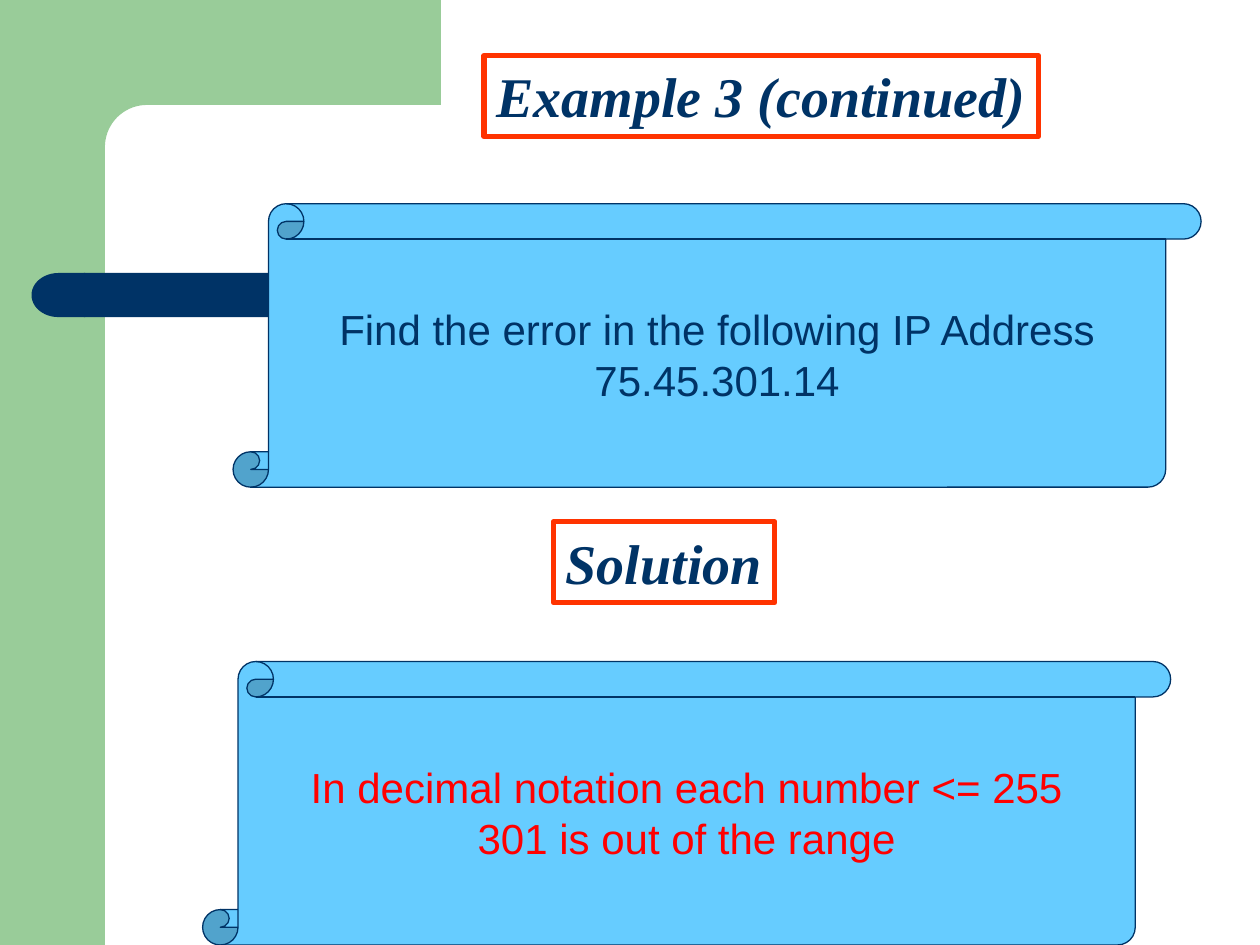
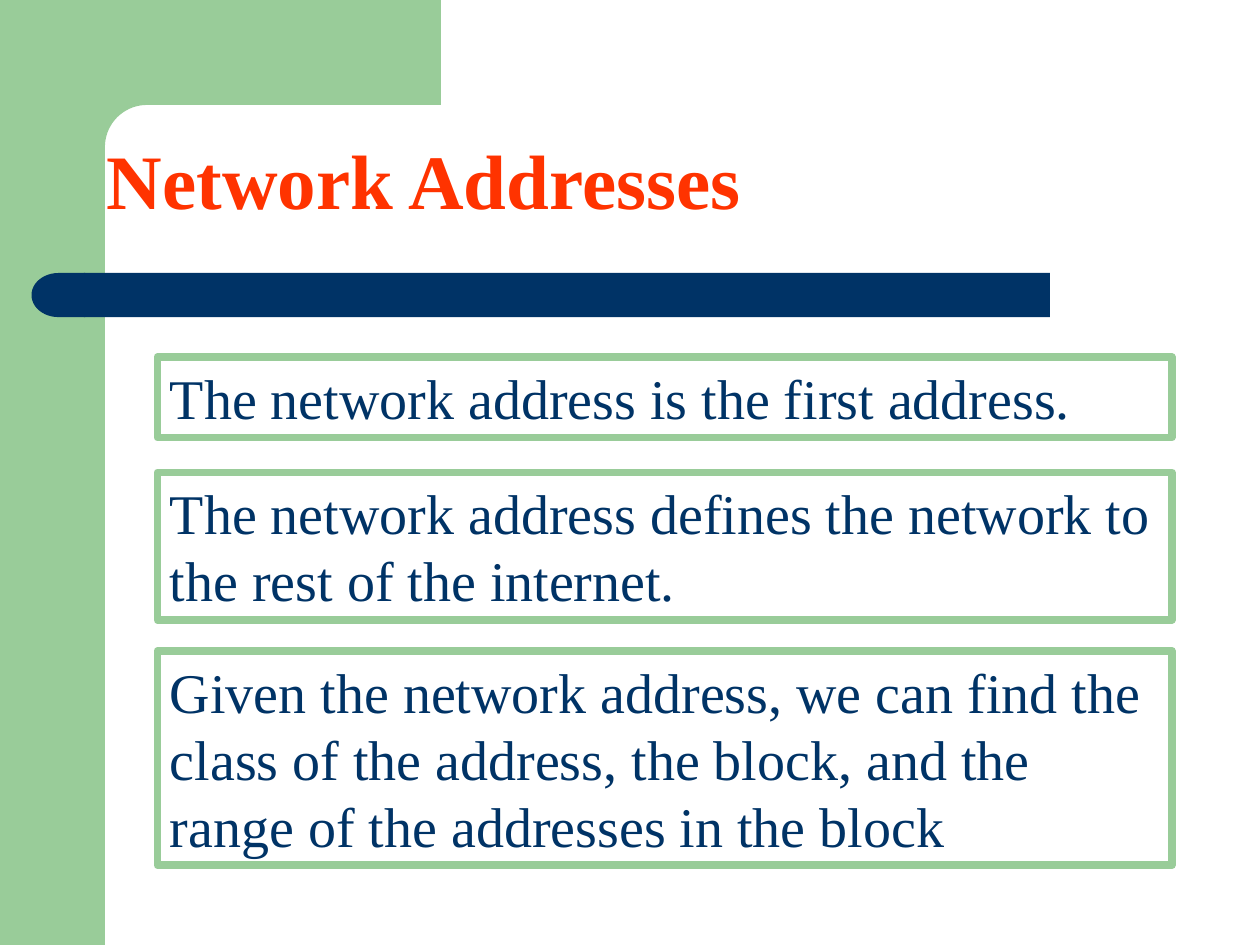
import dataclasses
import math
import typing

import pptx
import pptx.dml.color
import pptx.enum.shapes
import pptx.enum.text
import pptx.util

SHAPES = pptx.enum.shapes.MSO_SHAPE
ALIGN = pptx.enum.text.PP_ALIGN
ANCHOR = pptx.enum.text.MSO_ANCHOR
AUTO_SIZE = pptx.enum.text.MSO_AUTO_SIZE

COLORS = {
    "green": "99CC99",
    "navy": "003366",
    "orange": "FF3300",
    "sky": "66CCFF",
    "red": "FF0000",
    "white": "FFFFFF",
}
SERIF = "Times New Roman"
SANS = "Arial"

SLIDE_WIDTH = pptx.util.Inches(10)
SLIDE_HEIGHT = pptx.util.Inches(7.5)
COLUMNS = 120
ROWS = 90
SIDEBAR_COLUMNS = 10
CORNER_RADIUS = 4


@dataclasses.dataclass(frozen=True)
class Area:
    left: float
    top: float
    width: float
    height: float


@dataclasses.dataclass(frozen=True)
class Heading:
    text: str
    area: Area


@dataclasses.dataclass(frozen=True)
class Scroll:
    lines: tuple[str, ...]
    left: float
    top: float
    color: str


@dataclasses.dataclass(frozen=True)
class Statement:
    text: str
    top: float
    line_count: int


HEADINGS = [
    Heading("Example 3 (continued)", Area(46.1, 5.3, 52.8, 7.7)),
    Heading("Solution", Area(52.7, 49.7, 21.1, 7.7)),
]
SCROLLS = [
    Scroll(("Find the error in the following IP Address", "75.45.301.14"), 22.2, 19.4, "navy"),
    Scroll(("In decimal notation each number <= 255", "301 is out of the range"), 19.3, 63, "red"),
]
STATEMENTS = [
    Statement("The network address is the first address.", 34, 1),
    Statement("The network address defines the network to the rest of the internet.", 45, 2),
    Statement(
        "Given the network address, we can find the class of the address, "
        "the block, and the range of the addresses in the block", 62, 3),
]


def across(columns: float) -> int:
    return round(SLIDE_WIDTH * columns / COLUMNS)


def down(rows: float) -> int:
    return round(SLIDE_HEIGHT * rows / ROWS)


def place(area: Area) -> tuple[int, int, int, int]:
    return across(area.left), down(area.top), across(area.width), down(area.height)


def rgb(name: str) -> pptx.dml.color.RGBColor:
    return pptx.dml.color.RGBColor.from_string(COLORS[name])


def style_shape(shape, fill: typing.Optional[str] = None,
                line: typing.Optional[str] = None, line_width: float = 1) -> None:
    shape.shadow.inherit = False
    if fill:
        shape.fill.solid()
        shape.fill.fore_color.rgb = rgb(fill)
    else:
        shape.fill.background()
    if line:
        shape.line.color.rgb = rgb(line)
        shape.line.width = pptx.util.Pt(line_width)
    else:
        shape.line.fill.background()


def add_preset(slide, preset, area: Area, **style):
    shape = slide.shapes.add_shape(preset, *place(area))
    style_shape(shape, **style)
    return shape


def write_text(shape, *lines: str, size: float, font: str = SERIF, color: str = "navy",
               bold: bool = False, italic: bool = False, align=ALIGN.LEFT,
               anchor=ANCHOR.TOP, wrap: bool = True, auto_size=AUTO_SIZE.SHAPE_TO_FIT_TEXT) -> None:
    frame = shape.text_frame
    frame.word_wrap = wrap
    frame.auto_size = auto_size
    frame.vertical_anchor = anchor
    frame.text = "\n".join(lines)
    for paragraph in frame.paragraphs:
        paragraph.alignment = align
        paragraph.font.size = pptx.util.Pt(size)
        paragraph.font.name = font
        paragraph.font.bold = bold
        paragraph.font.italic = italic
        paragraph.font.color.rgb = rgb(color)


def add_corner(slide) -> None:
    center = SIDEBAR_COLUMNS + CORNER_RADIUS
    angles = [math.radians(degrees) for degrees in range(0, 91, 5)]
    arc = [(center - CORNER_RADIUS * math.sin(angle), center - CORNER_RADIUS * math.cos(angle))
           for angle in angles]
    outline = [(42, 0), (42, SIDEBAR_COLUMNS), *arc, (SIDEBAR_COLUMNS, 15.4), (6, 15.4)]
    builder = slide.shapes.build_freeform(across(6), 0)
    builder.add_line_segments([(across(x), down(y)) for x, y in outline], close=True)
    style_shape(builder.convert_to_shape(), fill="green")


def add_framed_slide(presentation):
    slide = presentation.slides.add_slide(presentation.slide_layouts[6])
    slide.background.fill.solid()
    slide.background.fill.fore_color.rgb = rgb("white")
    add_preset(slide, SHAPES.RECTANGLE, Area(0, 0, SIDEBAR_COLUMNS, ROWS), fill="green")
    add_corner(slide)
    add_preset(slide, SHAPES.RECTANGLE, Area(8, 26, 92, 4.2), fill="navy")
    band_end = add_preset(slide, SHAPES.FLOWCHART_DELAY, Area(3, 26, 5.1, 4.2), fill="navy")
    band_end.rotation = 180
    return slide


def add_heading(slide, heading: Heading) -> None:
    shape = add_preset(slide, SHAPES.RECTANGLE, heading.area,
                       fill="white", line="orange", line_width=3)
    write_text(shape, heading.text, size=32, bold=True, italic=True, wrap=False)


def add_scroll(slide, scroll: Scroll) -> None:
    shape = add_preset(slide, SHAPES.VERTICAL_SCROLL, Area(scroll.left, scroll.top, 92.2, 27),
                       fill="sky", line="navy", line_width=0.75)
    write_text(shape, *scroll.lines, size=24, font=SANS, color=scroll.color, align=ALIGN.CENTER,
               anchor=ANCHOR.MIDDLE, wrap=False, auto_size=AUTO_SIZE.NONE)


def add_statement(slide, statement: Statement) -> None:
    area = Area(15, statement.top, 96.6, 1.3 + 6.37 * statement.line_count)
    shape = add_preset(slide, SHAPES.RECTANGLE, area, line="green", line_width=4.5)
    write_text(shape, statement.text, size=32)


def build_example_slide(presentation) -> None:
    slide = add_framed_slide(presentation)
    for heading in HEADINGS:
        add_heading(slide, heading)
    for scroll in SCROLLS:
        add_scroll(slide, scroll)


def build_network_slide(presentation) -> None:
    slide = add_framed_slide(presentation)
    title = slide.shapes.add_textbox(*place(Area(9, 12, 66, 10.1)))
    write_text(title, "Network Addresses", size=44, color="orange", bold=True)
    for statement in STATEMENTS:
        add_statement(slide, statement)


def main() -> None:
    presentation = pptx.Presentation()
    presentation.slide_width = SLIDE_WIDTH
    presentation.slide_height = SLIDE_HEIGHT
    build_example_slide(presentation)
    build_network_slide(presentation)
    presentation.save("out.pptx")


if __name__ == "__main__":
    main()
